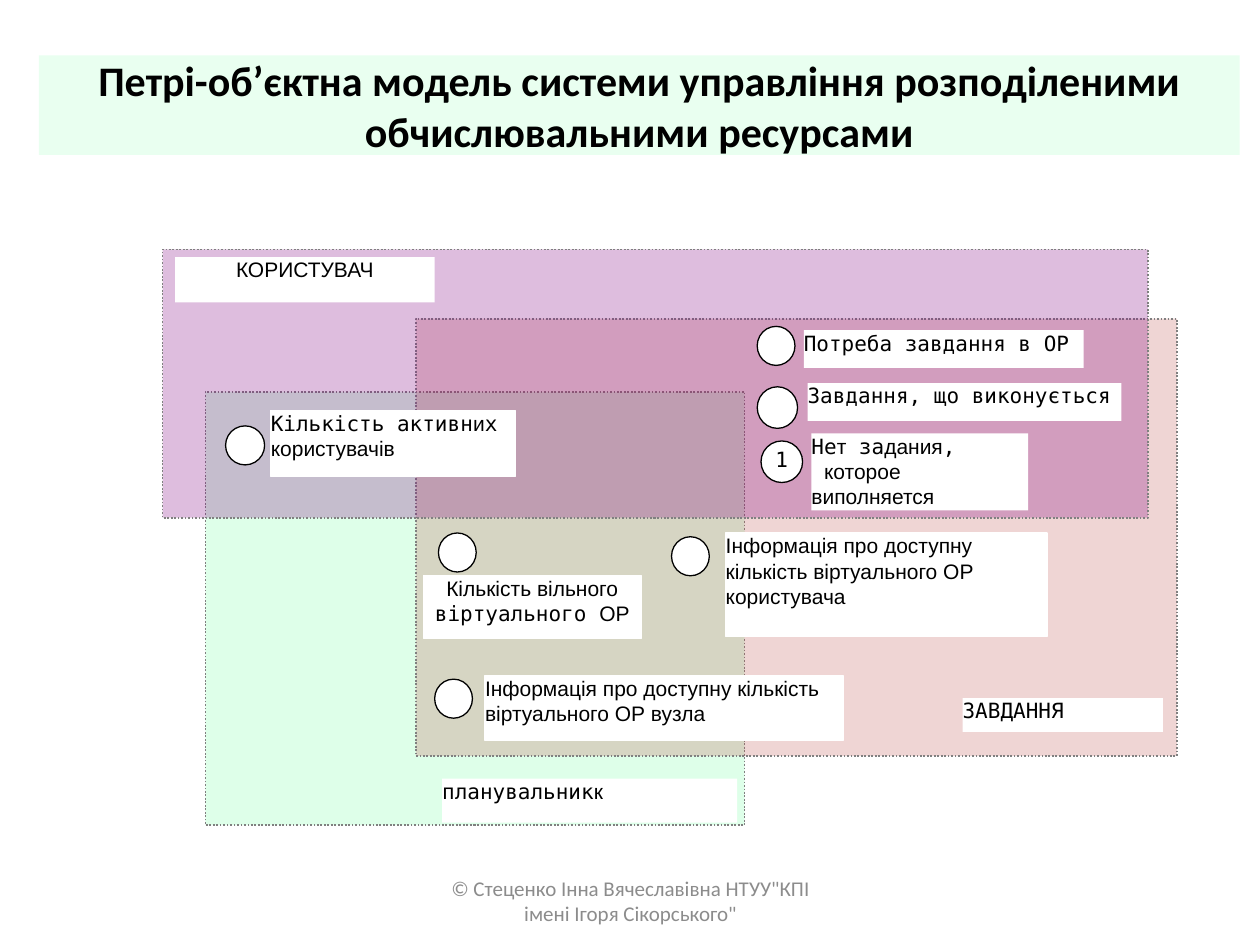
"""Build the slide on the Petri-object model of distributed resource management."""
from lxml import etree
from pptx import Presentation
from pptx import util as u
from pptx.dml.color import RGBColor
from pptx.enum import dml, shapes, text
from pptx.oxml.ns import qn

MONO, SANS, TITLE = "DejaVu Sans Mono", "Arial", "Calibri"
LEFT, CENTER = text.PP_ALIGN.LEFT, text.PP_ALIGN.CENTER
RECT, OVAL = shapes.MSO_SHAPE.RECTANGLE, shapes.MSO_SHAPE.OVAL


def draw(kind, at, fill, line=None, width=0.75):
    shape = slide.shapes.add_shape(kind, *map(u.Inches, at))
    shape.shadow.inherit = False
    shape.fill.solid()
    shape.fill.fore_color.rgb = RGBColor.from_string(fill)
    if line:
        shape.line.color.rgb = RGBColor.from_string(line)
        shape.line.width = u.Pt(width)
    else:
        shape.line.fill.background()
    return shape


def write(shape, paragraphs, align=LEFT, size=12, color="000000", bold=False, inset=0):
    frame = shape.text_frame
    frame.word_wrap = True
    frame.vertical_anchor = text.MSO_ANCHOR.MIDDLE if inset else text.MSO_ANCHOR.TOP
    frame.margin_left = frame.margin_right = u.Inches(inset)
    frame.margin_top = frame.margin_bottom = u.Inches(inset / 2)
    for number, runs in enumerate(paragraphs):
        paragraph = frame.add_paragraph() if number else frame.paragraphs[0]
        paragraph.alignment = align
        for words, font in runs:
            run = paragraph.add_run()
            run.text = words
            run.font.name = font
            run.font.size = u.Pt(size)
            run.font.bold = bold
            run.font.color.rgb = RGBColor.from_string(color)


deck = Presentation()
deck.slide_width, deck.slide_height = u.Inches(10), u.Inches(7.5)
slide = deck.slides.add_slide(deck.slide_layouts[6])

heading = draw(RECT, (0.31, 0.44, 9.53, 0.79), "E9FFF0")
write(heading, [[("Петрі-об’єктна модель системи управління розподіленими обчислювальними ресурсами", TITLE)]],
      CENTER, size=24, bold=True, inset=0.1)

objects = [
    ((1.63, 3.11, 4.28, 3.44), "BFFFD4", 50),
    ((3.3, 2.53, 6.04, 3.47), "C0504D", 24),
    ((1.29, 1.98, 7.82, 2.13), "800080", 26),
]
for at, color, opacity in objects:
    region = draw(RECT, at, color, "808080", 1)
    region.line.dash_style = dml.MSO_LINE.ROUND_DOT
    tint = region.element.spPr.find(qn("a:solidFill")).find(qn("a:srgbClr"))
    etree.SubElement(tint, qn("a:alpha"), val=str(opacity * 1000))

places = [
    (3.48, 4.23, 0.3, 0.31), (1.79, 3.38, 0.31, 0.31), (5.33, 4.26, 0.3, 0.31),
    (6.01, 2.59, 0.3, 0.31), (6.01, 3.07, 0.32, 0.33), (3.45, 5.39, 0.3, 0.31),
]
for at in places:
    draw(OVAL, at, "FFFFFF", "000000")
marked_place = draw(OVAL, (6.04, 3.5, 0.33, 0.33), "FFFFFF", "000000")
write(marked_place, [[("1", MONO)]], CENTER)

object_names = [
    ((7.64, 5.54, 1.59, 0.27), LEFT, [[("ЗАВДАННЯ", MONO)]]),
    ((3.51, 6.18, 2.34, 0.35), LEFT, [[("планувальник", MONO), ("к", SANS)]]),
    ((1.39, 2.04, 2.06, 0.36), CENTER, [[("КОРИСТУВАЧ", SANS)]]),
]
task_places = [
    ((6.38, 2.62, 2.22, 0.3), LEFT, [[("Потреба завдання в ОР", MONO)]]),
    ((6.41, 3.04, 2.49, 0.3), LEFT, [[("Завдання, що виконується", MONO)]]),
    ((6.44, 3.44, 1.72, 0.61), LEFT, [
        [("Не", MONO), ("т", SANS), (" за", MONO), ("дания", SANS), (",", MONO)],
        [(" ", MONO), ("которое виполняется", SANS)]]),
]
resource_places = [
    ((3.36, 4.57, 1.73, 0.5), CENTER,
     [[("Кількість вільного ", SANS), ("віртуального ", MONO), ("ОР", SANS)]]),
    ((2.15, 3.26, 1.94, 0.52), LEFT,
     [[("Кількість активн", MONO), ("и", SANS), ("х ", MONO), ("користувачів", SANS)]]),
    ((5.76, 4.23, 2.55, 0.82), LEFT,
     [[("Інформація про доступну кількість віртуального ОР користувача", SANS)]]),
    ((3.85, 5.36, 2.84, 0.52), LEFT,
     [[("Інформація про доступну кількість віртуального ОР вузла", SANS)]]),
]
for labels, outline in ((object_names + task_places, None), (resource_places, "FFFFFF")):
    for at, align, paragraphs in labels:
        write(draw(RECT, at, "FFFFFF", outline), paragraphs, align)

footer = slide.shapes.add_textbox(*map(u.Inches, (3.42, 6.95, 3.17, 0.4)))
write(footer, [[('© Стеценко Інна Вячеславівна НТУУ"КПІ імені Ігоря Сікорського"', TITLE)]],
      CENTER, color="8C8C8C", inset=0.1)

deck.save("out.pptx")
